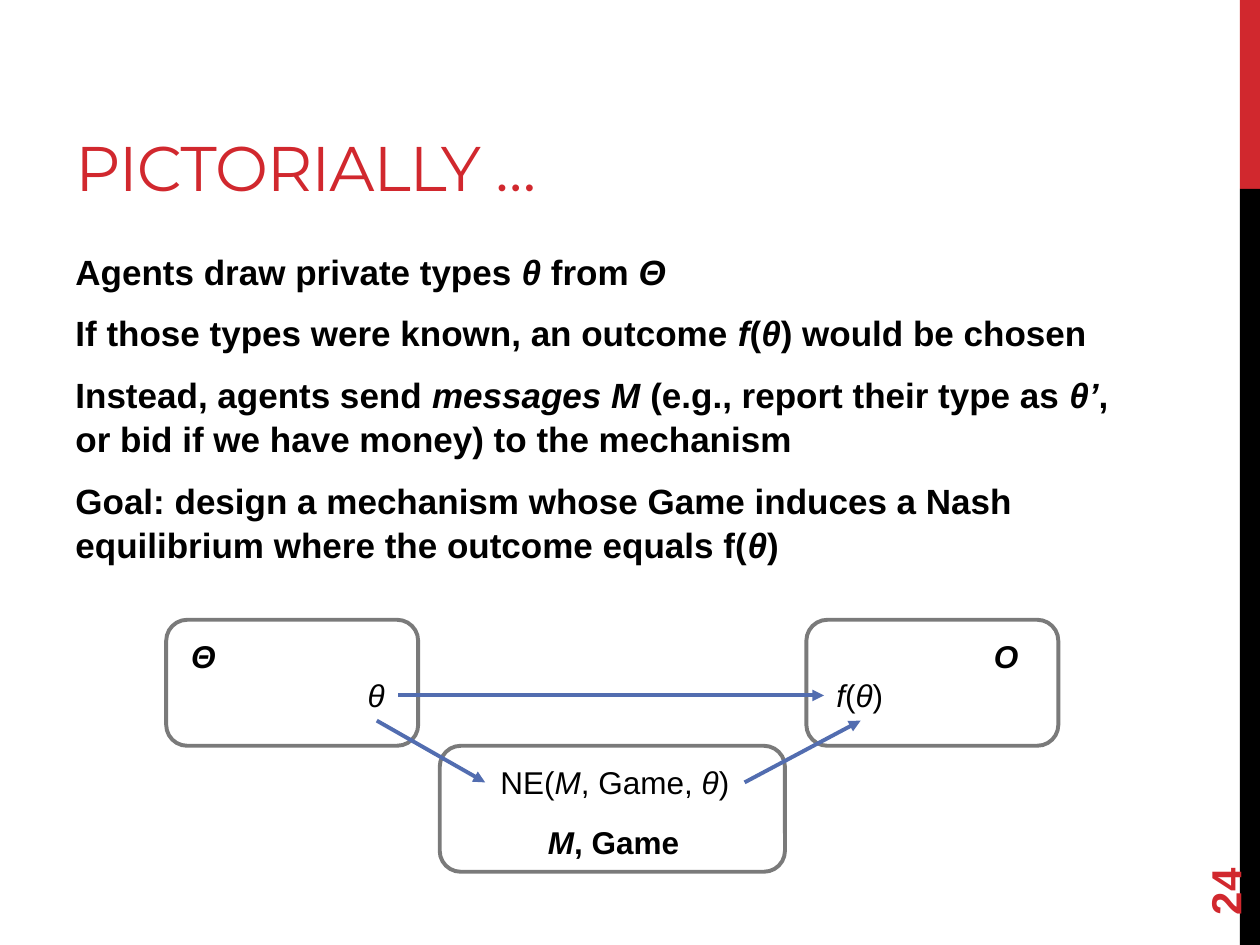
import pptx
import pptx.dml.color
import pptx.enum.shapes
import pptx.enum.text
import pptx.oxml
import pptx.oxml.ns
import pptx.util

Pt = pptx.util.Pt
SHAPE = pptx.enum.shapes.MSO_SHAPE
ANCHOR = pptx.enum.text.MSO_ANCHOR
ALIGN = pptx.enum.text.PP_ALIGN

COLOURS = {"red": "D1282E", "black": "000000", "white": "FFFFFF",
           "gray": "7A7A7A", "blue": "526DB0"}


def colour(name):
    return pptx.dml.color.RGBColor.from_string(COLOURS[name])


def write(paragraph, text, size=18, font="Arial", fill="black", bold=False,
          align=ALIGN.LEFT, tracking=None):
    """Fill a paragraph; text between asterisks is italic."""
    paragraph.alignment = align
    for index, part in enumerate(text.split("*")):
        if not part:
            continue
        run = paragraph.add_run()
        run.text = part
        run.font.size = Pt(size)
        run.font.name = font
        run.font.bold = bold
        run.font.italic = index % 2 == 1
        run.font.color.rgb = colour(fill)
        if tracking is not None:
            run.font._element.set("spc", str(tracking))


class SlideBuilder:
    line_width = 2.25

    def __init__(self, slide):
        self.shapes = slide.shapes

    def bar(self, left, top, width, height, fill):
        bar = self.shapes.add_shape(SHAPE.RECTANGLE, Pt(left), Pt(top), Pt(width), Pt(height))
        bar.shadow.inherit = False
        bar.fill.solid()
        bar.fill.fore_color.rgb = colour(fill)
        bar.line.fill.background()

    def space(self, left, top, width, height=72):
        box = self.shapes.add_shape(SHAPE.ROUNDED_RECTANGLE, Pt(left), Pt(top),
                                    Pt(width), Pt(height))
        box.shadow.inherit = False
        box.fill.solid()
        box.fill.fore_color.rgb = colour("white")
        box.line.color.rgb = colour("gray")
        box.line.width = Pt(self.line_width)

    def text(self, left, top, width, height, paragraphs, anchor=ANCHOR.TOP, wrap=True,
             rotation=0, gap=0, spacing=None, **style):
        box = self.shapes.add_textbox(Pt(left), Pt(top), Pt(width), Pt(height))
        box.rotation = rotation
        frame = box.text_frame
        frame.word_wrap = wrap
        frame.vertical_anchor = anchor
        for index, content in enumerate(paragraphs):
            paragraph = frame.add_paragraph() if index else frame.paragraphs[0]
            if index:
                paragraph.space_before = Pt(gap)
            if spacing:
                paragraph.line_spacing = spacing
            write(paragraph, content, **style)

    def label(self, left, top, width, content, **style):
        self.text(left, top, width, 29, [content], **style)

    def arrow(self, start, end):
        arrow = self.shapes.add_connector(pptx.enum.shapes.MSO_CONNECTOR.STRAIGHT,
                                          *(Pt(value) for value in start + end))
        arrow.line.color.rgb = colour("blue")
        arrow.line.width = Pt(self.line_width)
        head = pptx.oxml.parse_xml(
            f'<a:tailEnd {pptx.oxml.ns.nsdecls("a")} type="triangle"/>')
        arrow.line._get_or_add_ln().append(head)
        arrow._element.spPr.append(pptx.oxml.parse_xml(
            f'<a:effectLst {pptx.oxml.ns.nsdecls("a")}/>'))


def main():
    deck = pptx.Presentation()
    deck.slide_width, deck.slide_height = Pt(720), Pt(540)
    page = SlideBuilder(deck.slides.add_slide(deck.slide_layouts[6]))

    # Side bars
    page.bar(708.5, 0, 11.5, 108, "red")
    page.bar(708.5, 108, 11.5, 432, "black")

    # Title, body and page number
    page.text(36, 12, 456, 108, ["PICTORIALLY …"], anchor=ANCHOR.BOTTOM,
              size=36, font="Montserrat", fill="red", tracking=-60)
    page.text(36, 138.2, 618.5, 201.6, [
        "Agents draw private types *θ* from *Θ*",
        "If those types were known, an outcome *f*(*θ*) would be chosen",
        "Instead, agents send *messages M* (e.g., report their type as *θ’*, "
        "or bid if we have money) to the mechanism",
        "Goal: design a mechanism whose Game induces a Nash equilibrium "
        "where the outcome equals f(*θ*)",
    ], size=20, bold=True, gap=10, spacing=1.05)
    page.text(648, 463.7, 103.7, 28.8, ["24"], anchor=ANCHOR.MIDDLE, rotation=270,
              size=24, fill="red", bold=True)

    # Rows of the diagram
    upper, lower = 354.2, 426.2
    name_row, value_row = upper + 6.5, upper + 28.8
    message_row = lower + 6.5

    # Outcome space
    page.space(460.8, upper, 144)
    page.label(554.4, name_row, 41, "*O*", bold=True, align=ALIGN.CENTER)
    page.label(470.9, value_row, 41, "*f*(*θ*)")

    # Type space
    page.space(95, upper, 144)
    page.label(203, value_row, 24.5, "*θ*", wrap=False)
    page.label(102.2, name_row, 28.8, "*Θ*", bold=True, wrap=False)
    page.arrow((227.5, 397.4), (470.9, 397.4))

    # Message space
    page.space(251.3, lower, 197.3)
    page.label(306, 466.6, 90, "*M*, Game", bold=True)
    page.label(277.2, message_row, 148.3, "NE(*M*, Game, *θ*)", align=ALIGN.CENTER)
    page.arrow((215.3, 411.8), (277.2, 447.1))
    page.arrow((425.5, 447.1), (491.8, 411.8))

    deck.save("out.pptx")


if __name__ == "__main__":
    main()
